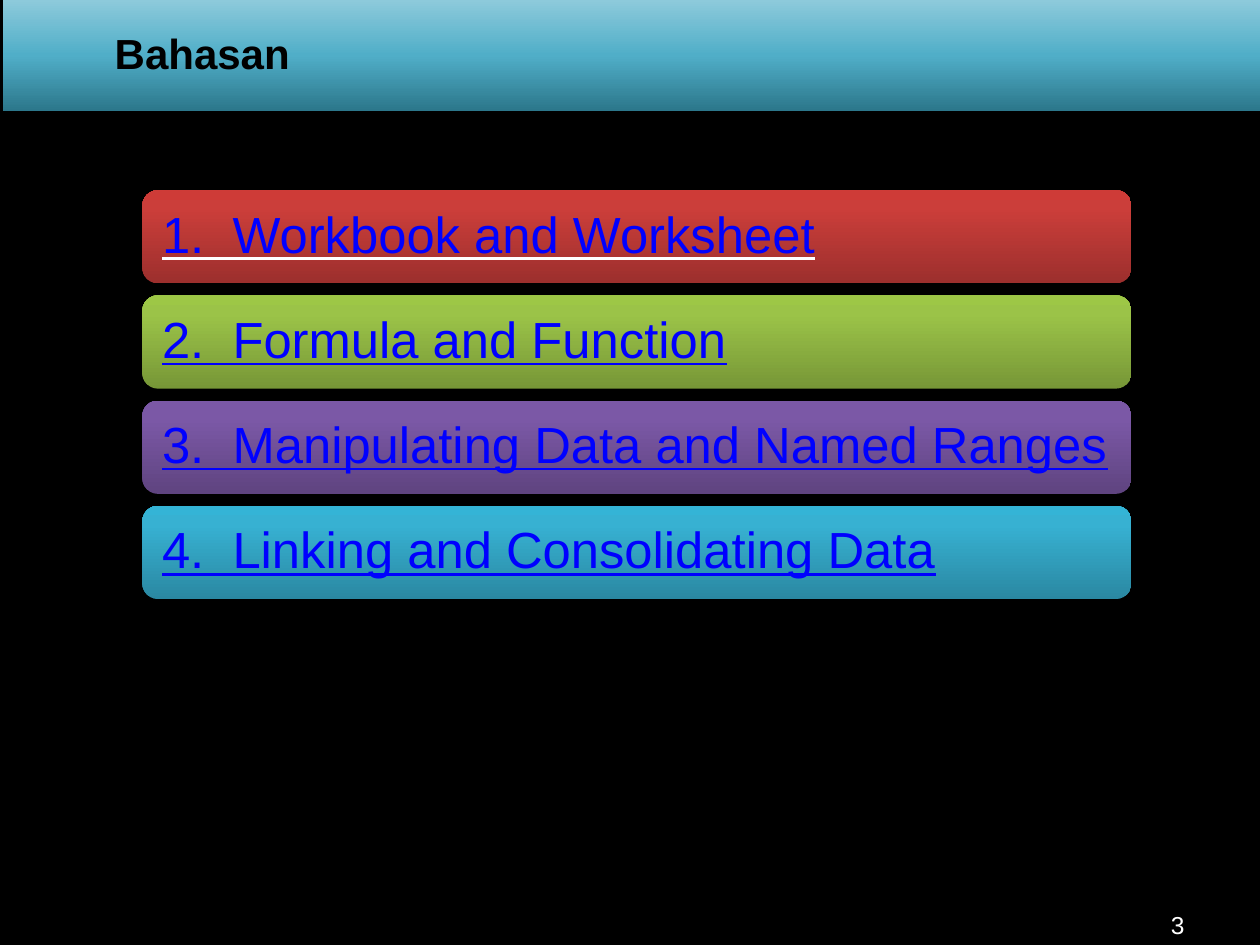
import pptx
import pptx.util
import pptx.dml.color
import pptx.enum.shapes
import pptx.enum.text
import pptx.oxml
import pptx.oxml.ns
from pptx.util import Inches

TITLE = "Bahasan"
TITLE_STOPS = [(0, "2C778B"), (48, "50AEC8"), (100, "93CDDD")]
TOPICS = [
    ("1.  Workbook and Worksheet", ("9C2F2D", "CB3E3A", "CE3B37"), "FFFFFF"),
    ("2.  Formula and Function", ("779737", "9BC348", "9DC746"), "0000FF"),
    ("3.  Manipulating Data and Named Ranges", ("5F4480", "7B58A6", "7C57A8"), "0000FF"),
    ("4.  Linking and Consolidating Data", ("2A88A2", "37B1D2", "34B4D6"), "0000FF"),
]
BAR_TOP, BAR_STEP = 1.51, 0.835

SHAPE = pptx.enum.shapes.MSO_SHAPE
ALIGN = pptx.enum.text.PP_ALIGN
ANCHOR = pptx.enum.text.MSO_ANCHOR
NS = pptx.oxml.ns.nsdecls("a")


def color(value):
    return pptx.dml.color.RGBColor.from_string(value)


def add_gradient_shape(s, kind, box, stops):
    sp = s.shapes.add_shape(kind, *map(Inches, box))
    sp.shadow.inherit = False
    sp.line.fill.background()
    sp.fill.gradient()
    sp.fill.gradient_angle = 90
    gs_list = sp.element.spPr.find(".//" + pptx.oxml.ns.qn("a:gsLst"))
    for gs in list(gs_list):
        gs_list.remove(gs)
    for pos, value in stops:
        gs_list.append(pptx.oxml.parse_xml(
            f'<a:gs {NS} pos="{pos * 1000}"><a:srgbClr val="{value}"/></a:gs>'))
    return sp


def write(sp, text, size, fill, bold=False, underline=None, align=ALIGN.LEFT,
          anchor=ANCHOR.MIDDLE, inset=(0.1, 0.05, 0.1, 0.05), spacing=1.0):
    tf = sp.text_frame
    tf.word_wrap = True
    tf.vertical_anchor = anchor
    tf.margin_left, tf.margin_top, tf.margin_right, tf.margin_bottom = map(Inches, inset)
    p = tf.paragraphs[0]
    p.alignment = align
    p.line_spacing = spacing
    r = p.add_run()
    r.text = text
    r.font.name = "Arial"
    r.font.size = pptx.util.Pt(size)
    r.font.bold = bold
    r.font.color.rgb = color(fill)
    if underline:
        r.font.underline = True
        solid = r.font._element.find(pptx.oxml.ns.qn("a:solidFill"))
        solid.addnext(pptx.oxml.parse_xml(
            f'<a:uFill {NS}><a:solidFill><a:srgbClr val="{underline}"/></a:solidFill></a:uFill>'))


prs = pptx.Presentation()
prs.slide_width, prs.slide_height = Inches(10), Inches(7.5)
s = prs.slides.add_slide(prs.slide_layouts[6])
s.background.fill.solid()
s.background.fill.fore_color.rgb = color("000000")

number = s.shapes.add_textbox(*map(Inches, (7.17, 7.17, 2.33, 0.27)))
write(number, "3", 14, "FFFFFF", align=ALIGN.RIGHT, anchor=ANCHOR.TOP)

header = add_gradient_shape(s, SHAPE.RECTANGLE, (0.02, -0.04, 9.98, 0.92), TITLE_STOPS)
write(header, TITLE, 24, "000000", bold=True, inset=(0.89, 0.05, 0.1, 0.05))

for i, (topic, shades, underline) in enumerate(TOPICS):
    box = (1.13, BAR_TOP + i * BAR_STEP, 7.85, 0.74)
    bar = add_gradient_shape(s, SHAPE.ROUNDED_RECTANGLE, box, zip((0, 80, 100), shades))
    write(bar, topic, 29, "0000FF", underline=underline, inset=(0.12,) * 4, spacing=0.9)

prs.save("out.pptx")
